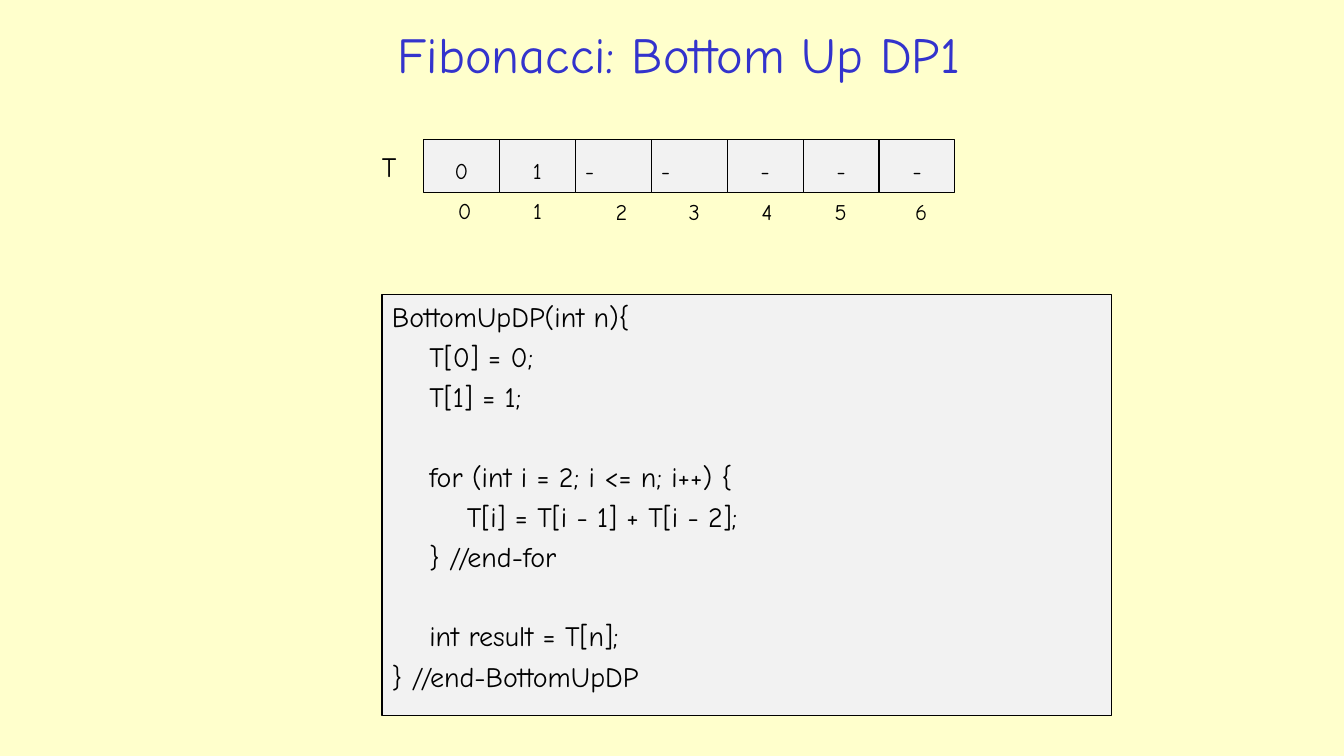
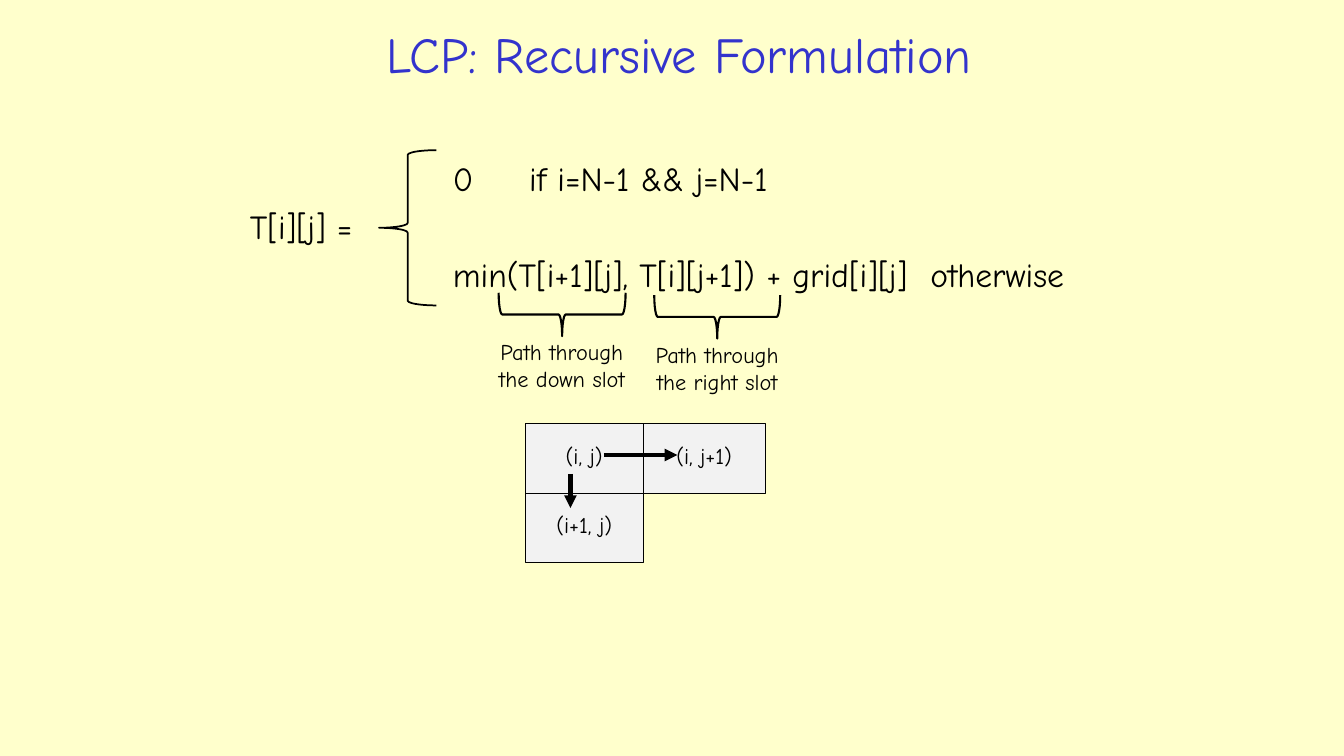
from dataclasses import dataclass
from typing import Sequence

from lxml import etree
from pptx import Presentation
from pptx import util as u
from pptx.dml.color import RGBColor
from pptx.enum import shapes, text
from pptx.oxml import ns
from pptx.shapes.autoshape import Shape
from pptx.slide import Slide
from pptx.text.text import TextFrame

FONT = "Comic Neue"
COLORS = {"page": "FFFFCC", "title": "3333CC", "ink": "000000", "cell": "F2F2F2"}
LEFT, CENTER = text.PP_ALIGN.LEFT, text.PP_ALIGN.CENTER


@dataclass(frozen=True)
class Box:
    """A rectangle in points."""
    left: float
    top: float
    width: float
    height: float

    def emu(self) -> tuple[u.Length, ...]:
        return tuple(u.Pt(v) for v in (self.left, self.top, self.width, self.height))


@dataclass(frozen=True)
class Slot:
    """One array entry with its index label below."""
    value: str
    label_center: float
    label_top: float = 138.2
    align: text.PP_ALIGN = CENTER


@dataclass(frozen=True)
class GridCell:
    label: str
    box: Box


@dataclass(frozen=True)
class Callout:
    """A brace under part of the formula, with its explanation."""
    brace: Box
    lines: tuple[str, str]
    label: Box


@dataclass(frozen=True)
class Arrow:
    x1: float
    y1: float
    x2: float
    y2: float


@dataclass(frozen=True)
class CodeLine:
    text: str
    starts_block: bool = False


SLOTS = (
    Slot("0", 332, 137),
    Slot("1", 384, 137),
    Slot("-", 444, align=LEFT),
    Slot("-", 496, align=LEFT),
    Slot("-", 548),
    Slot("-", 600.5),
    Slot("-", 658),
)
CODE = (
    CodeLine("BottomUpDP(int n){"),
    CodeLine("    T[0] = 0;"),
    CodeLine("    T[1] = 1;"),
    CodeLine("    for (int i = 2; i <= n; i++) {", True),
    CodeLine("        T[i] = T[i - 1] + T[i - 2];"),
    CodeLine("    } //end-for"),
    CodeLine("    int result = T[n];", True),
    CodeLine("} //end-BottomUpDP"),
)
FORMULA = (
    "\t0\tif i=N-1 && j=N-1",
    "T[i][j] =",
    "\tmin(T[i+1][j], T[i][j+1]) + grid[i][j]\totherwise",
)
FORMULA_TABS = (145, 199.5, 486)
CALLOUTS = (
    Callout(Box(386, 179.3, 31, 90.7), ("Path through", "the down slot"),
            Box(343.4, 238.3, 116, 46)),
    Callout(Box(496.8, 181.4, 31, 90), ("Path through", "the right slot"),
            Box(454.3, 240.1, 116, 46)),
)
GRID = (
    GridCell("(i, j)", Box(375.1, 302.4, 84.4, 49.8)),
    GridCell("(i, j+1)", Box(459.5, 302.4, 87, 49.8)),
    GridCell("(i+1, j)", Box(375.1, 352.2, 84.4, 49.8)),
)
ARROWS = (Arrow(407.5, 338.4, 407.5, 362.9), Arrow(431.3, 325, 483.8, 325))


def rgb(name: str) -> RGBColor:
    return RGBColor.from_string(COLORS[name])


def write(tf: TextFrame, lines: Sequence[str], size: float, color: str = "ink",
          align: text.PP_ALIGN = LEFT, gap: float = 0) -> None:
    """Fill a text frame, one paragraph per line."""
    tf.word_wrap = True
    tf.text = "\n".join(lines)
    for i, p in enumerate(tf.paragraphs):
        p.alignment = align
        if gap and i:
            p.space_before = u.Pt(gap)
        for r in p.runs:
            r.font.name, r.font.size = FONT, u.Pt(size)
            r.font.color.rgb = rgb(color)


def add_text(s: Slide, box: Box, lines: Sequence[str], size: float, color: str = "ink",
             align: text.PP_ALIGN = LEFT, gap: float = 0) -> TextFrame:
    tf = s.shapes.add_textbox(*box.emu()).text_frame
    write(tf, lines, size, color, align, gap)
    return tf


def add_panel(s: Slide, box: Box) -> Shape:
    """A light rectangle with a thin outline and text from the top."""
    sp = s.shapes.add_shape(shapes.MSO_SHAPE.RECTANGLE, *box.emu())
    sp.shadow.inherit = False
    sp.fill.solid()
    sp.fill.fore_color.rgb = rgb("cell")
    sp.line.color.rgb = rgb("ink")
    sp.line.width = u.Pt(0.75)
    sp.text_frame.vertical_anchor = text.MSO_ANCHOR.TOP
    return sp


def add_cell(s: Slide, box: Box, label: str, align: text.PP_ALIGN = CENTER) -> None:
    tf = add_panel(s, box).text_frame
    write(tf, [label], 16, align=align)
    tf.paragraphs[0].line_spacing = 1.5


def add_brace(s: Slide, kind: shapes.MSO_SHAPE, box: Box, weight: float,
              rotation: float = 0) -> None:
    sp = s.shapes.add_shape(kind, *box.emu())
    sp.shadow.inherit = False
    sp.fill.background()
    sp.line.color.rgb = rgb("ink")
    sp.line.width = u.Pt(weight)
    sp.rotation = rotation


def add_arrow(s: Slide, arrow: Arrow) -> None:
    ends = (u.Pt(v) for v in (arrow.x1, arrow.y1, arrow.x2, arrow.y2))
    line = s.shapes.add_connector(shapes.MSO_CONNECTOR.STRAIGHT, *ends)
    line.line.color.rgb = rgb("ink")
    line.line.width = u.Pt(3)
    etree.SubElement(line.line._get_or_add_ln(), ns.qn("a:tailEnd"), type="triangle")
    etree.SubElement(line._element.spPr, ns.qn("a:effectLst"))


def add_tabs(tf: TextFrame, stops: Sequence[float]) -> None:
    for p in tf.paragraphs:
        tabs = etree.SubElement(p._p.get_or_add_pPr(), ns.qn("a:tabLst"))
        for stop in stops:
            etree.SubElement(tabs, ns.qn("a:tab"), pos=str(int(u.Pt(stop))), algn="l")


def new_slide(prs: Presentation, title: str) -> Slide:
    s = prs.slides.add_slide(prs.slide_layouts[6])
    tf = add_text(s, Box(120.5, 10.8, 729, 54.7), [title], 36, "title", CENTER)
    tf.vertical_anchor = text.MSO_ANCHOR.MIDDLE
    return s


def fibonacci_slide(prs: Presentation) -> None:
    s = new_slide(prs, "Fibonacci: Bottom Up DP1")

    # Array with index labels
    add_text(s, Box(265.7, 103, 28, 32), ["T"], 20)
    pitch = 54.25
    for i, slot in enumerate(SLOTS):
        add_cell(s, Box(302.4 + i * pitch, 99.4, pitch, 38), slot.value, slot.align)
        add_text(s, Box(slot.label_center - 15, slot.label_top, 30, 26.6), [str(i)], 16,
                 align=CENTER)

    # Code panel
    gap, line_pitch = 4.7, 28
    tf = add_panel(s, Box(272.9, 210.2, 521.3, 301)).text_frame
    write(tf, [line.text for line in CODE], 20, gap=gap)
    for p, line in zip(tf.paragraphs, CODE):
        if line.starts_block:
            p.space_before = u.Pt(gap + line_pitch)


def recursion_slide(prs: Presentation) -> None:
    s = new_slide(prs, "LCP: Recursive Formulation")

    # Formula by cases
    tf = add_text(s, Box(171.4, 109.2, 650, 110), FORMULA, 24, gap=5.6)
    add_tabs(tf, FORMULA_TABS)
    add_brace(s, shapes.MSO_SHAPE.LEFT_BRACE, Box(270.7, 107.3, 41, 110.9), 1.25)

    # Braces explaining the two paths
    for callout in CALLOUTS:
        add_brace(s, shapes.MSO_SHAPE.RIGHT_BRACE, callout.brace, 1.5, 90)
        add_text(s, callout.label, callout.lines, 16, align=CENTER)

    # Neighbouring slots and moves
    for cell in GRID:
        add_cell(s, cell.box, cell.label)
    for arrow in ARROWS:
        add_arrow(s, arrow)


def main() -> None:
    prs = Presentation()
    prs.slide_width, prs.slide_height = u.Pt(960), u.Pt(540)
    fill = prs.slide_master.background.fill
    fill.solid()
    fill.fore_color.rgb = rgb("page")
    fibonacci_slide(prs)
    recursion_slide(prs)
    prs.save("out.pptx")


if __name__ == "__main__":
    main()
